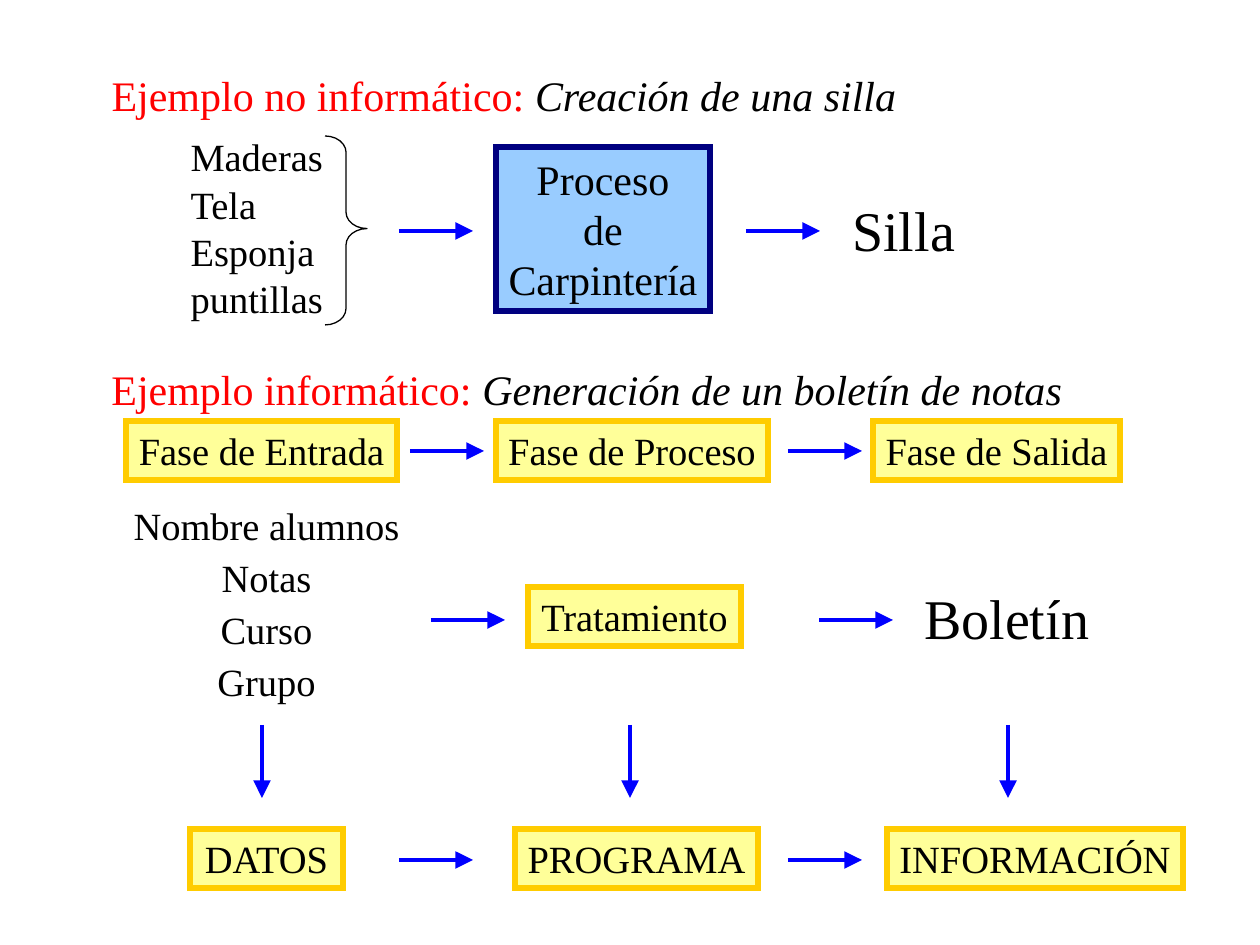
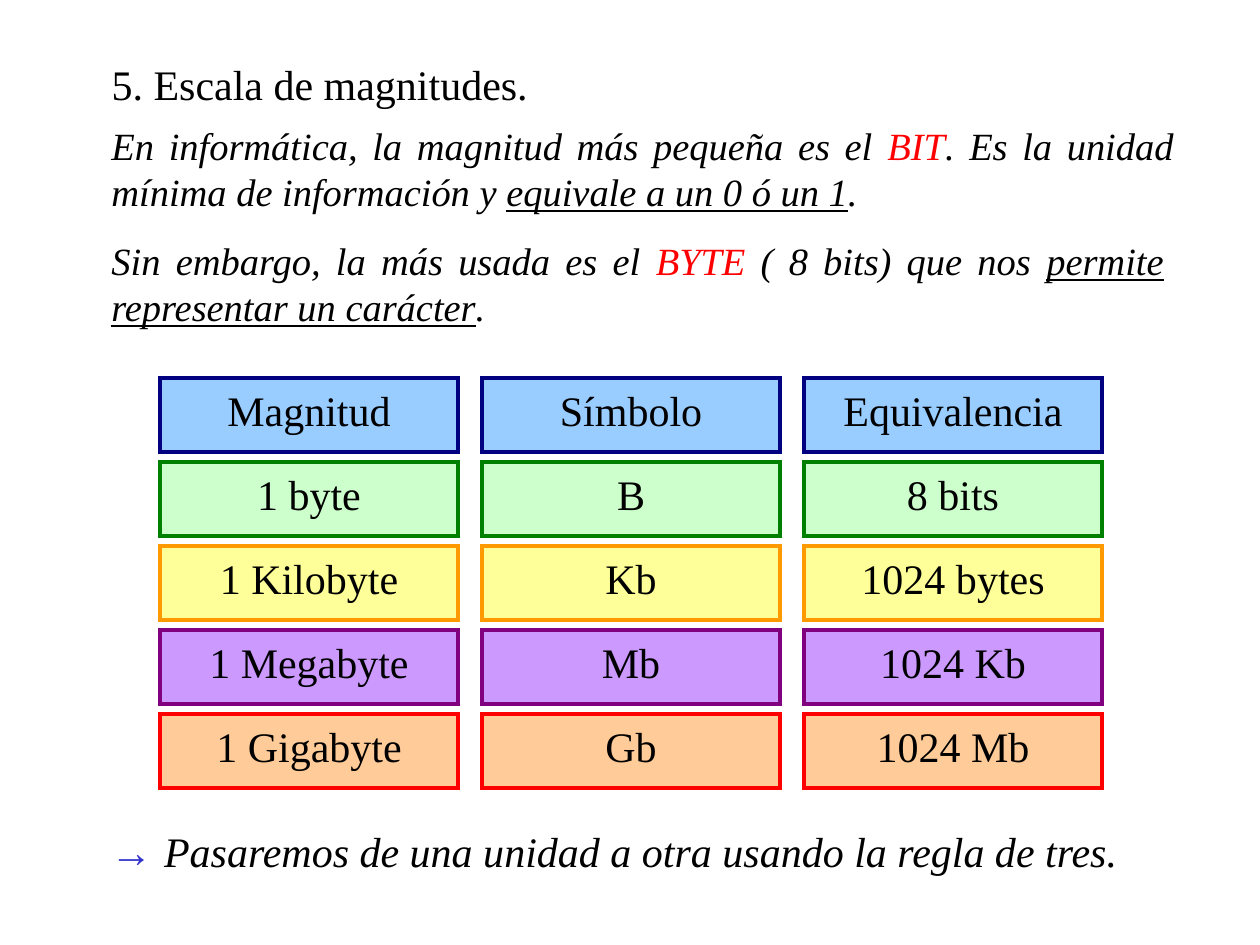
from lxml.etree import SubElement
from pptx import Presentation
from pptx.dml.color import RGBColor
from pptx.enum.shapes import MSO_CONNECTOR, MSO_SHAPE
from pptx.enum.text import MSO_ANCHOR, MSO_AUTO_SIZE, PP_ALIGN
from pptx.oxml.ns import qn
from pptx.util import Emu, Pt

PX_PER_INCH = 126
SERIF = "Times New Roman"
BLACK, RED, BLUE = "000000", "FF0000", "0000FF"
SKY, NAVY = "99CCFF", "000080"
YELLOW, GOLD = "FFFF99", "FFCC00"
LEFT, CENTER, JUSTIFY = PP_ALIGN.LEFT, PP_ALIGN.CENTER, PP_ALIGN.JUSTIFY


def px(n):
    """Turn px into EMU."""
    return Emu(round(n * 914400 / PX_PER_INCH))


def rgb(value):
    """Turn a hex string into a colour."""
    return RGBColor.from_string(value)


def place(sp, box):
    """Move and size a shape to (left, top, width, height)."""
    sp.left, sp.top, sp.width, sp.height = map(px, box)


def style_run(r, size, color=BLACK, italic=False, underline=False, font=SERIF):
    """Format one run."""
    r.font.name = font
    r.font.size = Pt(size)
    r.font.color.rgb = rgb(color)
    r.font.italic = italic
    r.font.underline = underline


def setup_frame(sp, wrap):
    """Give the text frame the common settings and return it."""
    tf = sp.text_frame
    tf.word_wrap = wrap
    tf.auto_size = MSO_AUTO_SIZE.NONE
    tf.vertical_anchor = MSO_ANCHOR.TOP
    return tf


def write(sp, text, size, align=LEFT, wrap=False):
    """Write plain lines in one style."""
    tf = setup_frame(sp, wrap)
    tf.text = text
    for p in tf.paragraphs:
        p.alignment = align
        for r in p.runs:
            style_run(r, size)


def write_runs(sp, runs, size, align=LEFT, wrap=False):
    """Write one paragraph of (text, style) runs."""
    p = setup_frame(sp, wrap).paragraphs[0]
    p.alignment = align
    for text, style in runs:
        r = p.add_run()
        r.text = text
        style_run(r, size, **style)


def textbox(s, box):
    """Add an empty text box."""
    return s.shapes.add_textbox(*map(px, box))


def title(s, top):
    """Place the title placeholder across the slide and return it."""
    place(s.shapes.title, (99, top, 1062, 63))
    return s.shapes.title


def example_heading(sp, kind, topic):
    """Write a red label followed by an italic topic."""
    runs = [(kind, {"color": RED}), (topic, {"italic": True})]
    write_runs(sp, runs, 24, wrap=True)


def input_list(sp, box, items, align, spacing):
    """Turn a body placeholder into a tight list without bullets."""
    place(sp, box)
    write(sp, "\n".join(items), 22, align, True)
    for p in sp.text_frame.paragraphs:
        p.line_spacing = spacing
        p.space_before = Pt(13.8)
        pPr = p._p.get_or_add_pPr()
        pPr.set("marL", "0")
        pPr.set("indent", "0")
        SubElement(pPr, qn("a:buNone"))


def panel(s, box, text, fill=YELLOW, line=GOLD, size=22, weight=3):
    """Add a rectangle with a square-cornered border and centred text."""
    sp = s.shapes.add_shape(MSO_SHAPE.RECTANGLE, *map(px, box))
    sp.shadow.inherit = False
    sp.fill.solid()
    sp.fill.fore_color.rgb = rgb(fill)
    sp.line.color.rgb = rgb(line)
    sp.line.width = Pt(weight)
    SubElement(sp._element.spPr.get_or_add_ln(), qn("a:miter"), lim="800000")
    write(sp, text, size, CENTER)


def arrow(s, x, y, dx=74, dy=0):
    """Add a blue arrow from (x, y)."""
    ends = map(px, (x, y, x + dx, y + dy))
    c = s.shapes.add_connector(MSO_CONNECTOR.STRAIGHT, *ends)
    c.line.color.rgb = rgb(BLUE)
    c.line.width = Pt(2)
    spPr = c._element.spPr
    SubElement(spPr.get_or_add_ln(), qn("a:tailEnd"),
               type="triangle", w="lg", len="lg")
    SubElement(spPr, qn("a:effectLst"))


def brace(s, box):
    """Add a thin right brace."""
    sp = s.shapes.add_shape(MSO_SHAPE.RIGHT_BRACE, *map(px, box))
    sp.shadow.inherit = False
    sp.fill.background()
    sp.line.color.rgb = rgb(BLACK)
    sp.line.width = Pt(0.75)
    sp.adjustments[0], sp.adjustments[1] = 0.39, 0.49


def examples_slide(prs):
    """Build the slide with the two process examples."""
    s = prs.slides.add_slide(prs.slide_layouts[3])
    materials, records = list(s.placeholders)[1:]
    example_heading(title(s, 63),
                    "Ejemplo no informático: ", "Creación de una silla")
    example_heading(textbox(s, (99, 357, 1062, 63)),
                    "Ejemplo informático: ", "Generación de un boletín de notas")
    input_list(materials, (178, 147, 179, 178),
               ["Maderas", "Tela", "Esponja", "puntillas"], LEFT, 0.5)
    input_list(records, (113, 512, 307, 197),
               ["Nombre alumnos", "Notas", "Curso", "Grupo"], CENTER, 0.6)
    brace(s, (325, 136, 42, 189))
    panel(s, (496, 147, 214, 164), "Proceso\nde\nCarpintería", SKY, NAVY, 24)
    write(textbox(s, (840, 189, 127, 81)), "Silla", 32)
    write(textbox(s, (912, 577, 190, 81)), "Boletín", 32)

    for x, y, width, text in [
        (126, 421, 271, "Fase de Entrada"),
        (496, 421, 272, "Fase de Proceso"),
        (873, 421, 247, "Fase de Salida"),
        (528, 587, 213, "Tratamiento"),
        (190, 829, 153, "DATOS"),
        (515, 829, 243, "PROGRAMA"),
        (887, 829, 296, "INFORMACIÓN"),
    ]:
        panel(s, (x, y, width, 59), text)

    for y, starts in [(231, (399, 746)), (451, (410, 788)),
                      (620, (431, 819)), (860, (399, 788))]:
        for x in starts:
            arrow(s, x, y)
    for x in (262, 630, 1008):
        arrow(s, x, 725, 0, 73)


def magnitudes_slide(prs):
    """Build the slide with the scale of magnitudes."""
    s = prs.slides.add_slide(prs.slide_layouts[5])
    write(title(s, 52), "5. Escala de magnitudes.", 24, wrap=True)
    italic = {"italic": True}
    key = {"italic": True, "color": RED}
    underlined = {"italic": True, "underline": True}
    write_runs(textbox(s, (99, 116, 1087, 106)), [
        ("En informática, la magnitud más pequeña es el ", italic),
        ("BIT", key),
        (". Es la unidad mínima de información y ", italic),
        ("equivale a un 0 ó un 1", underlined),
        (".", italic),
    ], 22, JUSTIFY, True)
    write_runs(textbox(s, (99, 231, 1077, 106)), [
        ("Sin embargo, la más usada es el ", italic),
        ("BYTE", key),
        (" ( 8 bits) que nos ", italic),
        ("permite representar un carácter", underlined),
        (".", italic),
    ], 22, JUSTIFY, True)
    write_runs(textbox(s, (98, 819, 1036, 63)), [
        ("→ ", {"color": "3333CC", "font": "Arial"}),
        ("Pasaremos de una unidad a otra usando la regla de tres.", italic),
    ], 24)

    rows = [
        (SKY, NAVY, ("Magnitud", "Símbolo", "Equivalencia")),
        ("CCFFCC", "008000", ("1 byte", "B", "8 bits")),
        (YELLOW, "FF9900", ("1 Kilobyte", "Kb", "1024 bytes")),
        ("CC99FF", "800080", ("1 Megabyte", "Mb", "1024 Kb")),
        ("FFCC99", RED, ("1 Gigabyte", "Gb", "1024 Mb")),
    ]
    for i, (fill, line, cells) in enumerate(rows):
        for j, text in enumerate(cells):
            box = (160 + 322 * j, 378 + 84 * i, 298, 74)
            panel(s, box, text, fill, line, 24, 2)


def main():
    """Build and save the presentation."""
    prs = Presentation()
    prs.slide_width, prs.slide_height = px(1260), px(945)
    examples_slide(prs)
    magnitudes_slide(prs)
    prs.save("out.pptx")


if __name__ == "__main__":
    main()
